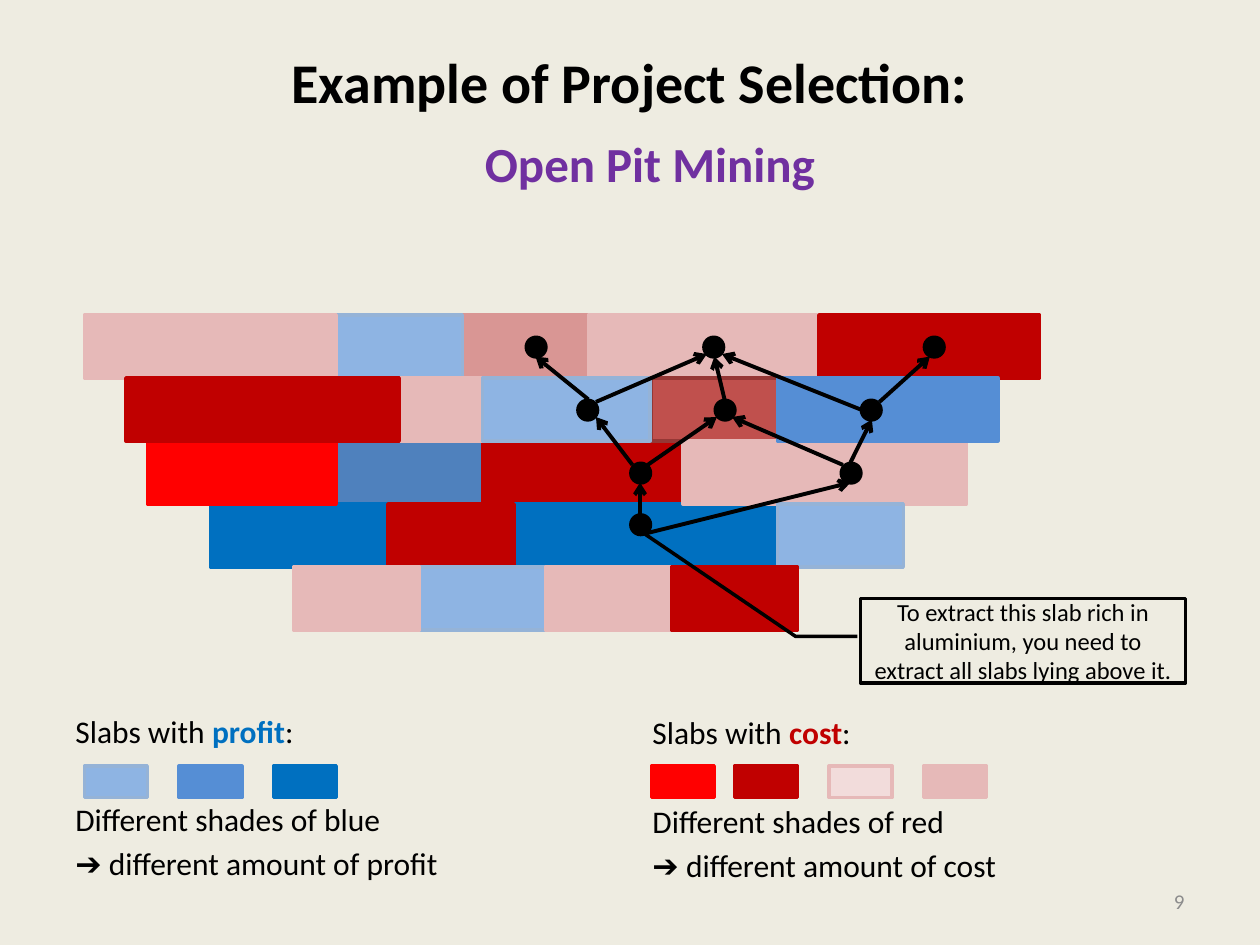
import lxml.etree
import pptx
import pptx.dml.color
import pptx.enum.shapes
import pptx.enum.text
import pptx.oxml.ns
import pptx.util
from pptx.util import Inches

SHAPES = pptx.enum.shapes.MSO_SHAPE
ALIGN = pptx.enum.text.PP_ALIGN
ANCHOR = pptx.enum.text.MSO_ANCHOR

SHADES = {
    "sky": ("8EB4E3", "95B3D7"),
    "azure": ("558ED5", "558ED5"),
    "blue": ("0070C0", "0070C0"),
    "steel": ("4F81BD", "3A5F8C"),
    "red": ("FF0000", "FF0000"),
    "crimson": ("C00000", "C00000"),
    "brick": ("C0504D", "953735"),
    "rose": ("D99694", "D99694"),
    "pink": ("E6B9B8", "E6B9B8"),
    "blush": ("F2DCDB", "E6B9B8"),
}

SLABS = [
    (2.67, 3, 1.17, "steel"), (3.67, 1, 1, "rose"), (4.67, 1, 2.67, "pink"),
    (3.83, 3, 1.58, "crimson"), (2.67, 1, 1, "sky"), (1.67, 4, 1.42, "blue"),
    (5.17, 2, 1, "brick"), (3.17, 2, 0.67, "pink"), (1.17, 3, 1.5, "red"),
    (3.92, 4, 2.25, "blue"), (3.83, 2, 1.33, "sky"), (0.67, 1, 2, "pink"),
    (1, 2, 2.17, "crimson"), (6.5, 1, 1.75, "crimson"), (5.42, 3, 2.25, "pink"),
    (6.17, 2, 1.75, "azure"), (3.08, 4, 1, "crimson"), (6.17, 4, 1, "sky"),
    (3.33, 5, 1, "sky"), (4.33, 5, 1, "pink"), (2.33, 5, 1, "pink"),
    (5.33, 5, 1, "crimson"),
]
SWATCHES = [
    (0.67, "sky"), (1.42, "azure"), (2.17, "blue"),
    (5.17, "red"), (5.83, "crimson"), (6.58, "blush"), (7.33, "pink"),
]
NODES = [
    (5, 4.08), (5, 3.67), (6.67, 3.67), (6.83, 3.17), (5.67, 3.17),
    (4.58, 3.17), (4.17, 2.67), (5.58, 2.67), (7.33, 2.67),
]
PREREQUISITES = [
    ((5.08, 4.08), (5.08, 3.83)), ((5.14, 4.23), (6.75, 3.83)),
    ((6.98, 3.19), (7.38, 2.83)), ((6.83, 3.25), (5.73, 2.81)),
    ((4.73, 3.19), (5.61, 2.81)), ((4.67, 3.17), (4.25, 2.83)),
    ((5.75, 3.17), (5.67, 2.83)), ((6.75, 3.67), (6.92, 3.33)),
    ((6.69, 3.69), (5.81, 3.31)), ((5.14, 3.69), (5.69, 3.31)),
    ((5.02, 3.69), (4.73, 3.31)),
]
LEGENDS = [
    (0.5, 5.6, "profit", "0070C0", "blue"),
    (5.08, 5.61, "cost", "C00000", "red"),
]


def rgb(code):
    return pptx.dml.color.RGBColor.from_string(code)


class MiningSlide:
    font_name = "Calibri"
    ink = "000000"
    paper = "EEECE1"

    def __init__(self, deck):
        self.slide = deck.slides.add_slide(deck.slide_layouts[6])
        self.slide.background.fill.solid()
        self.slide.background.fill.fore_color.rgb = rgb(self.paper)

    def style(self, paragraph, size, color=None, bold=False, align=None):
        paragraph.font.name = self.font_name
        paragraph.font.size = pptx.util.Pt(size)
        paragraph.font.bold = bold
        paragraph.font.color.rgb = rgb(color or self.ink)
        paragraph.alignment = align

    def text(self, box, words, size, color=None, bold=False, align=None,
             anchor=ANCHOR.TOP, wrap=True):
        frame = self.slide.shapes.add_textbox(*map(Inches, box)).text_frame
        frame.word_wrap = wrap
        frame.vertical_anchor = anchor
        frame.text = words
        self.style(frame.paragraphs[0], size, color, bold, align)
        return frame

    def shape(self, kind, box, fill, line, width):
        shape = self.slide.shapes.add_shape(kind, *map(Inches, box))
        shape.shadow.inherit = False
        shape.fill.solid()
        shape.fill.fore_color.rgb = rgb(fill)
        shape.line.color.rgb = rgb(line)
        shape.line.width = pptx.util.Pt(width)
        return shape

    def slab(self, box, shade):
        self.shape(SHAPES.RECTANGLE, box, *SHADES[shade], 2)

    def node(self, left, top):
        self.shape(SHAPES.OVAL, (left, top, 0.17, 0.17), self.ink, self.ink, 1)

    def arrow(self, start, end):
        arrow = self.slide.shapes.add_connector(
            pptx.enum.shapes.MSO_CONNECTOR.STRAIGHT, *map(Inches, start + end))
        arrow.line.color.rgb = rgb(self.ink)
        arrow.line.width = pptx.util.Pt(2.25)
        properties = arrow._element.spPr
        outline = properties.find(pptx.oxml.ns.qn("a:ln"))
        lxml.etree.SubElement(outline, pptx.oxml.ns.qn("a:tailEnd"), type="arrow")
        lxml.etree.SubElement(properties, pptx.oxml.ns.qn("a:effectLst"))

    def callout(self, box, words, adjustments):
        callout = self.shape(SHAPES.LINE_CALLOUT_2, box, self.paper, self.ink, 2)
        for index, value in enumerate(adjustments):
            callout.adjustments[index] = value
        frame = callout.text_frame
        frame.word_wrap = True
        frame.vertical_anchor = ANCHOR.MIDDLE
        frame.text = words
        self.style(frame.paragraphs[0], 14, align=ALIGN.CENTER)

    def legend(self, left, top, kind, color, hue):
        frame = self.text((left, top, 4.42, 1.5), "Slabs with ", 18)
        heading = frame.paragraphs[0]
        keyword = heading.add_run()
        keyword.text = kind
        keyword.font.bold = True
        keyword.font.color.rgb = rgb(color)
        heading.add_run().text = ":"
        for words, gap in ((f"Different shades of {hue}", 29),
                           (f"➔ different amount of {kind}", 3.6)):
            line = frame.add_paragraph()
            line.text = words
            line.space_before = pptx.util.Pt(gap)
            self.style(line, 18)


def main():
    deck = pptx.Presentation()
    deck.slide_width, deck.slide_height = Inches(10), Inches(7.5)
    mining = MiningSlide(deck)

    title = mining.text((0.5, 0.3, 9, 1.25), "Example of Project Selection:", 32,
                        bold=True, align=ALIGN.CENTER)
    title.margin_top = Inches(0.08)
    for legend in LEGENDS:
        mining.legend(*legend)
    mining.text((7.17, 6.95, 2.33, 0.4), "9", 12, "8C8C8C",
                align=ALIGN.RIGHT, anchor=ANCHOR.MIDDLE)

    for left, level, width, shade in SLABS:
        mining.slab((left, 2 + level / 2, width, 0.5), shade)
    for left, shade in SWATCHES:
        mining.slab((left, 6.08, 0.5, 0.25), shade)
    for node in NODES:
        mining.node(*node)
    for start, end in PREREQUISITES:
        mining.arrow(start, end)

    mining.callout(
        (6.83, 4.75, 2.58, 0.67),
        "To extract this slab rich in aluminium, you need to "
        "extract all slabs lying above it.",
        (0.45, -0.01, 0.45, -0.2, -0.78, -0.67))
    subtitle = mining.text((3.75, 1.01, 2.85, 0.57), "Open Pit Mining", 28,
                           "7030A0", bold=True, wrap=False)
    subtitle.auto_size = pptx.enum.text.MSO_AUTO_SIZE.SHAPE_TO_FIT_TEXT
    deck.save("out.pptx")


if __name__ == "__main__":
    main()
